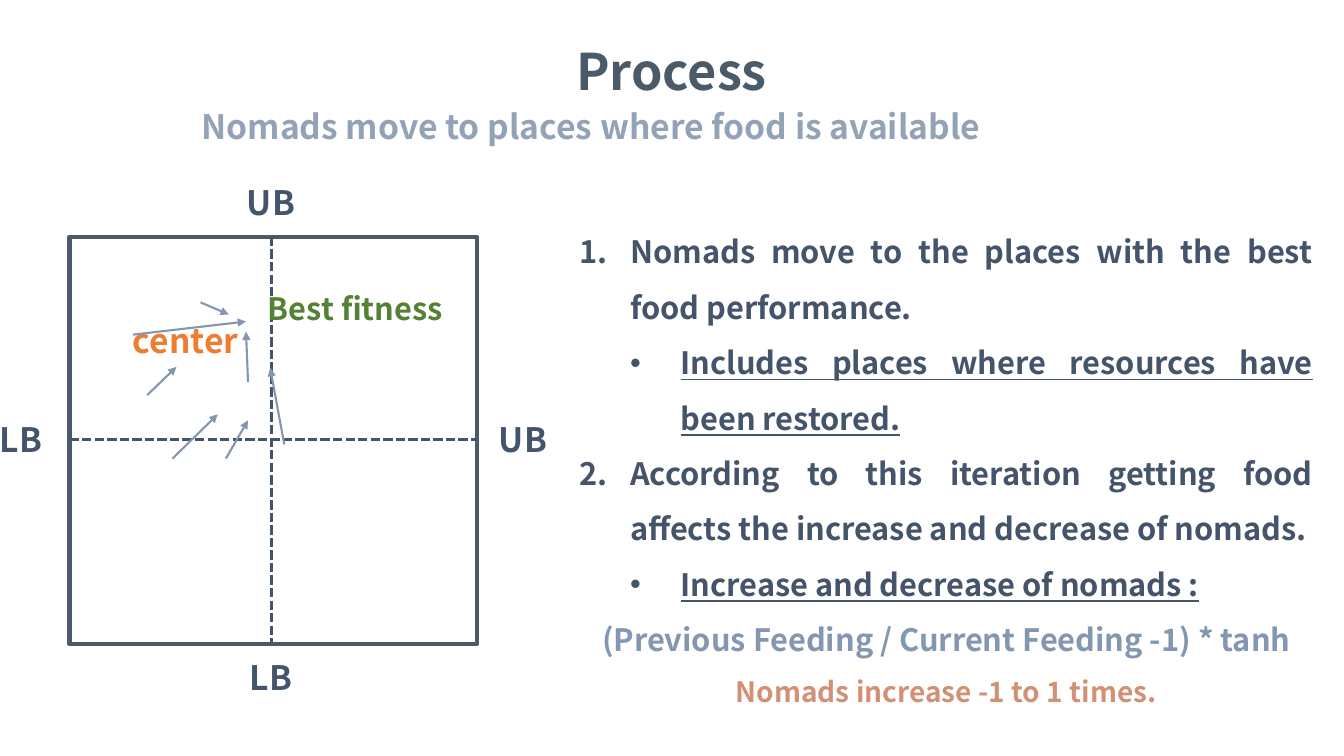
import dataclasses

import lxml.etree
import pptx
import pptx.dml.color
import pptx.enum.dml
import pptx.enum.shapes
import pptx.enum.text
import pptx.oxml.ns
import pptx.util

Inches = pptx.util.Inches
Pt = pptx.util.Pt
RGB = pptx.dml.color.RGBColor.from_string
qn = pptx.oxml.ns.qn
Align = pptx.enum.text.PP_ALIGN
Fit = pptx.enum.text.MSO_AUTO_SIZE


@dataclasses.dataclass(frozen=True)
class Theme:
    font: str = "Noto Sans CJK SC"
    slate: str = "4A5A69"
    navy: str = "44546A"
    mist: str = "92A3B8"
    steel: str = "8497B0"
    orange: str = "ED7D31"
    green: str = "548235"
    clay: str = "D29074"
    head: int = 36
    label: int = 24
    text: int = 22
    note: int = 20


theme = Theme()


def style(para, size, color):
    font = para.font
    font.name = theme.font
    font.size = Pt(size)
    font.bold = True
    font.color.rgb = RGB(color)


def draw_line(start, end, color, width):
    """Draw a straight line without a shadow."""
    line = slide.shapes.add_connector(
        pptx.enum.shapes.MSO_CONNECTOR.STRAIGHT,
        *(Inches(v) for v in start + end))
    line.line.color.rgb = RGB(color)
    line.line.width = Pt(width)
    lxml.etree.SubElement(line._element.spPr, qn("a:effectLst"))
    return line


deck = pptx.Presentation()
deck.slide_width = Inches(13.33)
deck.slide_height = Inches(7.5)
slide = deck.slides.add_slide(deck.slide_layouts[1])

# Title
title = slide.shapes.title
title.left, title.top = Inches(5.47), Inches(0.35)
title.width, title.height = Inches(2.38), Inches(0.7)
title.text_frame.text = "Process"
title.text_frame.word_wrap = False
title.text_frame.auto_size = Fit.NONE
title.text_frame.paragraphs[0].alignment = Align.CENTER
style(title.text_frame.paragraphs[0], theme.head, theme.slate)

# Steps: text, kind, size, colour
steps = [
    ("Nomads move to the places with the best food performance.",
     "number", theme.text, theme.navy),
    ("Includes places where resources have been restored.",
     "bullet", theme.text, theme.navy),
    ("According to this iteration getting food affects the increase "
     "and decrease of nomads.", "number", theme.text, theme.navy),
    ("Increase and decrease of nomads :",
     "bullet", theme.text, theme.navy),
    ("(Previous Feeding / Current Feeding -1) * tanh",
     "plain", theme.text, theme.steel),
    ("Nomads increase -1 to 1 times.", "plain", theme.note, theme.clay),
]
marks = {
    "number": (0.5, -0.5, "a:buAutoNum", {"type": "arabicPeriod"}),
    "bullet": (1, -0.5, "a:buChar", {"char": "•"}),
    "plain": (0, 0, "a:buNone", {}),
}
body = slide.placeholders[1]
body.left, body.top = Inches(5.65), Inches(2.08)
body.width, body.height = Inches(7.47), Inches(6.09)
frame = body.text_frame
frame.auto_size = Fit.NONE
frame.text = "\n".join(step[0] for step in steps)
for para, (_, kind, size, color) in zip(frame.paragraphs, steps):
    left, hang, tag, attrs = marks[kind]
    para.alignment = Align.CENTER if kind == "plain" else Align.JUSTIFY
    para.level = 1 if kind == "bullet" else 0
    para.line_spacing = 1.5
    para.space_before = Pt(0)
    props = para._p.get_or_add_pPr()
    props.set("marL", str(Inches(left)))
    props.set("indent", str(Inches(hang)))
    if kind == "bullet":
        lxml.etree.SubElement(props, qn("a:buFont"), typeface="Arial")
    lxml.etree.SubElement(props, qn(tag), attrs)
    style(para, size, color)
    para.font.underline = kind == "bullet"

# Search space
square = slide.shapes.add_shape(
    pptx.enum.shapes.MSO_SHAPE.RECTANGLE,
    Inches(0.69), Inches(2.35), Inches(4.04), Inches(4.04))
square.shadow.inherit = False
square.fill.background()
square.line.color.rgb = RGB(theme.slate)
square.line.width = Pt(3)
for start, end in [((0.69, 4.36), (4.73, 4.36)),
                   ((2.69, 2.35), (2.69, 6.38))]:
    axis = draw_line(start, end, theme.navy, 2.25)
    axis.line.dash_style = pptx.enum.dml.MSO_LINE.SQUARE_DOT

# Labels: text, left, top, width, size, colour, wrap
labels = [
    ("Nomads move to places where food is available",
     1.9, 1, 9.53, theme.label, theme.mist, True),
    ("LB", -0.1, 4.11, 0.66, theme.label, theme.navy, False),
    ("UB", 4.85, 4.11, 0.72, theme.label, theme.navy, False),
    ("UB", 2.35, 1.76, 0.72, theme.label, theme.navy, False),
    ("LB", 2.38, 6.47, 0.66, theme.label, theme.navy, False),
    ("center", 1.22, 3.12, 1.41, theme.label, theme.orange, False),
    ("Best fitness", 2.56, 2.83, 2.23, theme.text, theme.green, False),
]
for text, left, top, width, size, color, wrap in labels:
    box = slide.shapes.add_textbox(
        Inches(left), Inches(top), Inches(width), Inches(0.5))
    box.text_frame.word_wrap = wrap
    box.text_frame.text = text
    style(box.text_frame.paragraphs[0], size, color)

# Moves of the nomads
moves = [
    ((1.99, 3), (2.27, 3.12)),
    ((1.32, 3.32), (2.44, 3.19)),
    ((1.46, 3.92), (1.75, 3.64)),
    ((1.71, 4.55), (2.16, 4.11)),
    ((2.46, 3.79), (2.44, 3.29)),
    ((2.24, 4.55), (2.46, 4.17)),
    ((2.82, 4.41), (2.68, 3.65)),
]
for start, end in moves:
    arrow = draw_line(start, end, theme.steel, 1.5)
    lxml.etree.SubElement(
        arrow.line._get_or_add_ln(), qn("a:tailEnd"), type="triangle")

deck.save("out.pptx")
